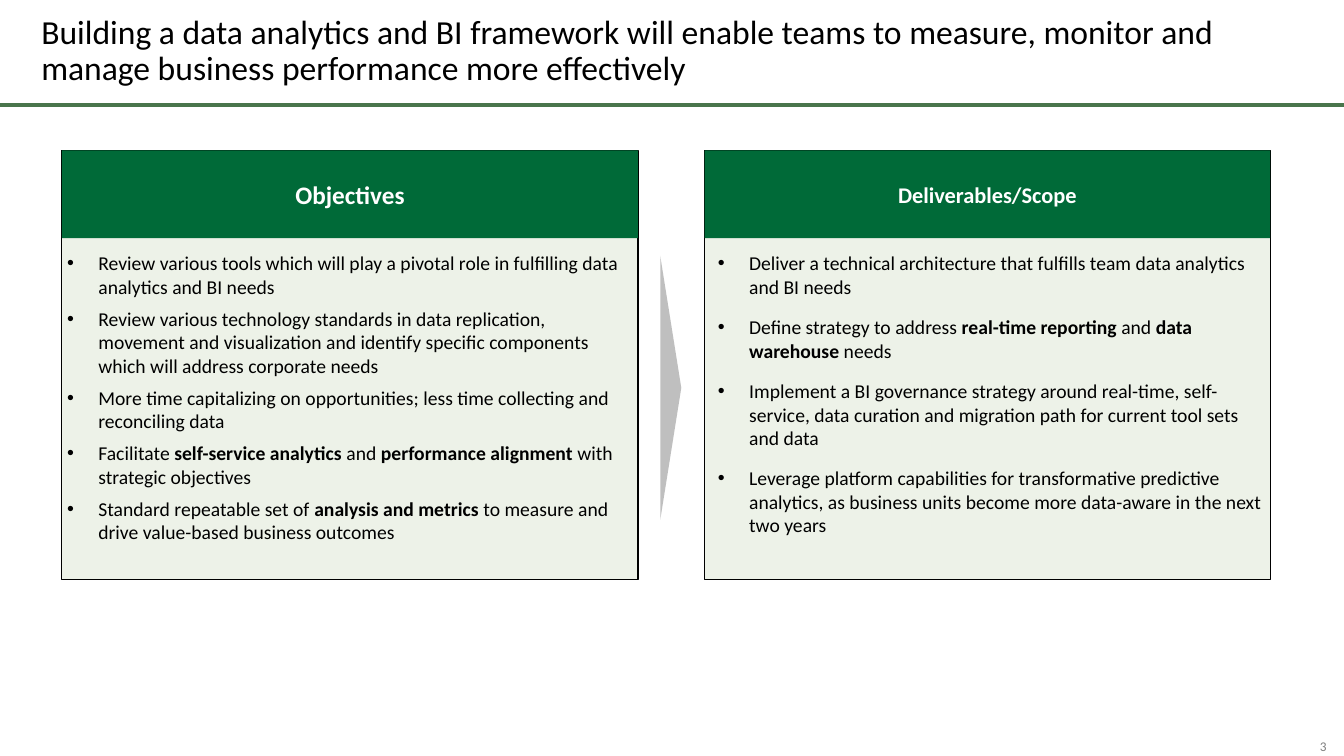
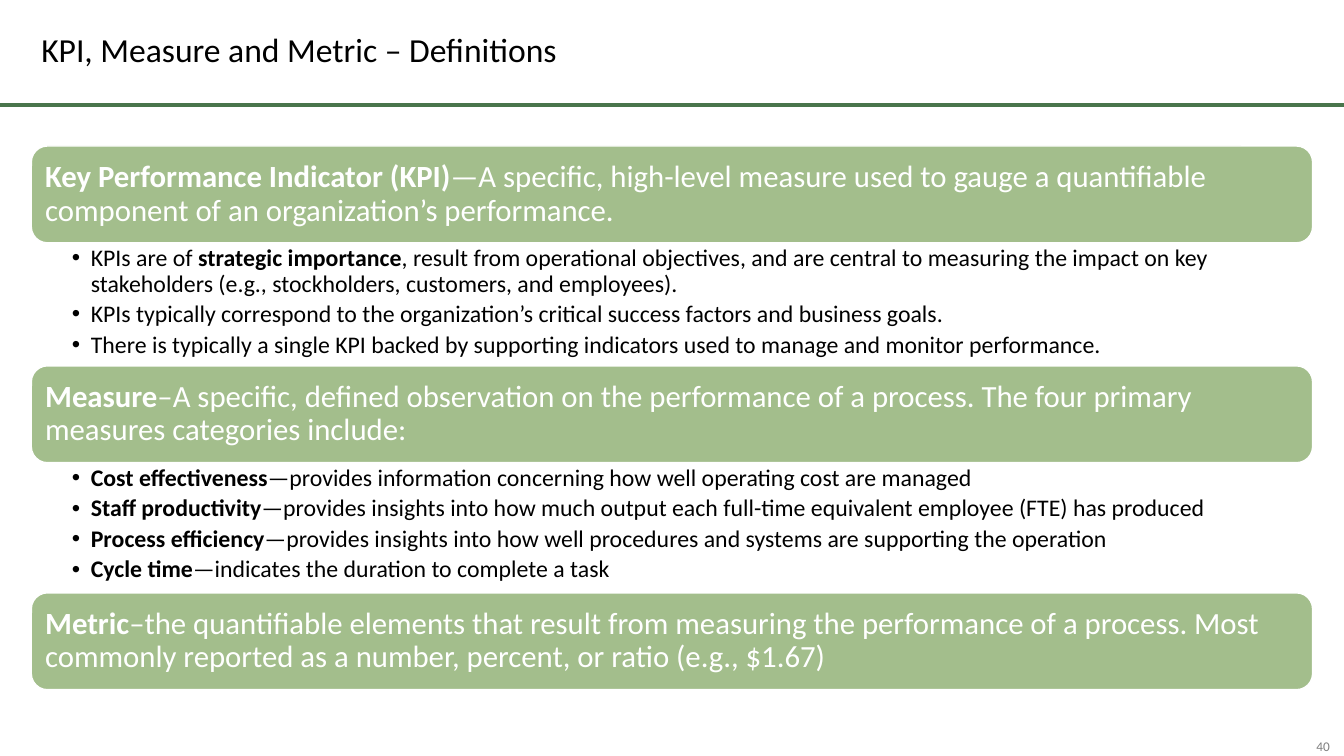
from lxml import etree
from pptx import Presentation
from pptx.dml.color import RGBColor
from pptx.enum.shapes import MSO_CONNECTOR as Connector, MSO_SHAPE as Shape
from pptx.enum.text import MSO_ANCHOR as Anchor, MSO_AUTO_SIZE as AutoSize, PP_ALIGN as Align
from pptx.oxml.ns import qn
from pptx.util import Cm, Pt

FONT = "Calibri"
COLORS = {
    "text": "000000",
    "white": "FFFFFF",
    "rule": "49754C",
    "header": "006A38",
    "panel": "EDF2E8",
    "arrow": "BFBFBF",
    "band": "A3BE8C",
    "page": "808080",
}
SLIDE_WIDTH, SLIDE_HEIGHT = 33.87, 19.05
MARGIN = 0.79
CONTENT_WIDTH = SLIDE_WIDTH - 2 * MARGIN

OBJECTIVES = [
    "Review various tools which will play a pivotal role in fulfilling data analytics and BI needs",
    "Review various technology standards in data replication, movement and visualization "
    "and identify specific components which will address corporate needs",
    "More time capitalizing on opportunities; less time collecting and reconciling data",
    "Facilitate **self-service analytics** and **performance alignment** with strategic objectives",
    "Standard repeatable set of **analysis and metrics** to measure and drive value-based "
    "business outcomes",
]
DELIVERABLES = [
    "Deliver a technical architecture that fulfills team data analytics and BI needs",
    "Define strategy to address **real-time reporting** and **data warehouse** needs",
    "Implement a BI governance strategy around real-time, self-service, data curation and "
    "migration path for current tool sets and data",
    "Leverage platform capabilities for transformative predictive analytics, as business units "
    "become more data-aware in the next two years",
]
# Each definition: band text, bullets, height of the bullet area
DEFINITIONS = [
    ("**Key Performance Indicator (KPI)**—A specific, high-level measure used to gauge a "
     "quantifiable component of an organization’s performance.",
     ["KPIs are of **strategic importance**, result from operational objectives, and are central "
      "to measuring the impact on key stakeholders (e.g., stockholders, customers, and employees).",
      "KPIs typically correspond to the organization’s critical success factors and business goals.",
      "There is typically a single KPI backed by supporting indicators used to manage and "
      "monitor performance."], 3.1),
    ("**Measure**–A specific, defined observation on the performance of a process. The four "
     "primary measures categories include:",
     ["**Cost effectiveness**—provides information concerning how well operating cost are managed",
      "**Staff productivity**—provides insights into how much output each full-time equivalent "
      "employee (FTE) has produced",
      "**Process efficiency**—provides insights into how well procedures and systems are "
      "supporting the operation",
      "**Cycle time**—indicates the duration to complete a task"], 3.28),
    ("**Metric**–the quantifiable elements that result from measuring the performance of a "
     "process. Most commonly reported as a number, percent, or ratio (e.g., $1.67)", [], 0),
]


def rgb(name):
    return RGBColor.from_string(COLORS[name])


def set_frame(shape, insets, anchor):
    """Set insets (left, top, right, bottom in cm) and vertical anchor."""
    frame = shape.text_frame
    frame.word_wrap = True
    frame.auto_size = AutoSize.NONE
    frame.vertical_anchor = anchor
    frame.margin_left, frame.margin_top, frame.margin_right, frame.margin_bottom = map(Cm, insets)
    return frame


def write(frame, texts, size, color="text", align=Align.LEFT, line=1.0, before=0, after=0,
          bullet=None):
    """Write paragraphs; **marks** are bold, bullet is (text indent, hanging) in cm."""
    for index, text in enumerate(texts):
        paragraph = frame.add_paragraph() if index else frame.paragraphs[0]
        paragraph.alignment = align
        paragraph.line_spacing = line
        paragraph.space_before = Pt(before if index else 0)
        paragraph.space_after = Pt(after)
        if bullet:
            indent, hanging = bullet
            properties = paragraph._p.get_or_add_pPr()
            properties.set("marL", str(Cm(indent)))
            properties.set("indent", str(-Cm(hanging)))
            etree.SubElement(properties, qn("a:buFont")).set("typeface", "Arial")
            etree.SubElement(properties, qn("a:buChar")).set("char", "•")
        font = paragraph.font
        font.name, font.size = FONT, Pt(size)
        font.color.rgb = rgb(color)
        for part, words in enumerate(text.split("**")):
            if words:
                run = paragraph.add_run()
                run.text = words
                run.font.bold = part % 2 == 1


def add_box(slide, kind, box, fill, line=None, line_width=0.75):
    shape = slide.shapes.add_shape(kind, *map(Cm, box))
    shape.shadow.inherit = False
    shape.fill.solid()
    shape.fill.fore_color.rgb = rgb(fill)
    if line:
        shape.line.color.rgb = rgb(line)
        shape.line.width = Pt(line_width)
    else:
        shape.line.fill.background()
    return shape


def add_slide(presentation, title, number):
    """Add a slide with title, green rule and page number."""
    slide = presentation.slides.add_slide(presentation.slide_layouts[5])
    heading = slide.shapes.title
    heading.left, heading.top, heading.width, heading.height = map(
        Cm, (MARGIN, 0.25, CONTENT_WIDTH, 2.11))
    write(set_frame(heading, (0.25, 0.13, 0.25, 0.13), Anchor.MIDDLE), [title], 24, line=0.9)

    rule = slide.shapes.add_connector(
        Connector.STRAIGHT, 0, Cm(2.64), Cm(SLIDE_WIDTH), Cm(2.64))
    rule.line.color.rgb = rgb("rule")
    rule.line.width = Pt(2.75)
    etree.SubElement(rule._element.spPr, qn("a:effectLst"))

    page = slide.shapes.add_textbox(*map(Cm, (32.82, 18.59, 1.05, 0.43)))
    write(set_frame(page, (0, 0, 0, 0), Anchor.MIDDLE), [str(number)], 9.5, "page", Align.CENTER)
    return slide


def add_panel(slide, box, heading, heading_size, items, **style):
    left, top, width, _ = box
    body = add_box(slide, Shape.RECTANGLE, box, "panel", "text")
    write(set_frame(body, (0.13, 2.54, 0.13, 0.1), Anchor.TOP), items, 14, **style)
    header = add_box(slide, Shape.RECTANGLE, (left, top, width, 2.21), "header")
    write(set_frame(header, (0.23, 0.1, 0.23, 0.1), Anchor.MIDDLE),
          [f"**{heading}**"], heading_size, "white", Align.CENTER)


def add_definitions(slide, left, top, width):
    """Stack the bands, each followed by its bullets."""
    band_height = 2.44
    for definition, bullets, bullets_height in DEFINITIONS:
        band = add_box(slide, Shape.ROUNDED_RECTANGLE, (left, top, width, band_height),
                       "band", "white", 1)
        write(set_frame(band, (0.23,) * 4, Anchor.MIDDLE), [definition], 22, "white", line=0.9)
        top += band_height
        if bullets:
            details = slide.shapes.add_textbox(*map(Cm, (left, top, width, bullets_height)))
            write(set_frame(details, (1.02, 0.08, 0.43, 0.08), Anchor.TOP), bullets, 17,
                  line=0.9, after=3.4, bullet=(0.48, 0.48))
        top += bullets_height


def build_framework_slide(presentation):
    slide = add_slide(
        presentation,
        "Building a data analytics and BI framework will enable teams to measure, monitor and "
        "manage business performance more effectively", 3)
    top, height = 3.79, 10.82
    add_panel(slide, (1.56, top, 14.52, height), "Objectives", 18, OBJECTIVES,
              before=6, bullet=(0.79, 0.79))
    add_panel(slide, (17.76, top, 14.25, height), "Deliverables/Scope", 16, DELIVERABLES,
              after=12, bullet=(0.99, 0.79))
    arrow = add_box(slide, Shape.RIGHT_ARROW, (16.64, 6.45, 0.53, 6.65), "arrow")
    arrow.adjustments[0], arrow.adjustments[1] = 0, 1


def build_definitions_slide(presentation):
    slide = add_slide(presentation, "KPI, Measure and Metric – Definitions", 40)
    add_definitions(slide, MARGIN, 3.68, CONTENT_WIDTH)


def main():
    presentation = Presentation()
    presentation.slide_width, presentation.slide_height = Cm(SLIDE_WIDTH), Cm(SLIDE_HEIGHT)
    build_framework_slide(presentation)
    build_definitions_slide(presentation)
    presentation.save("out.pptx")


if __name__ == "__main__":
    main()
